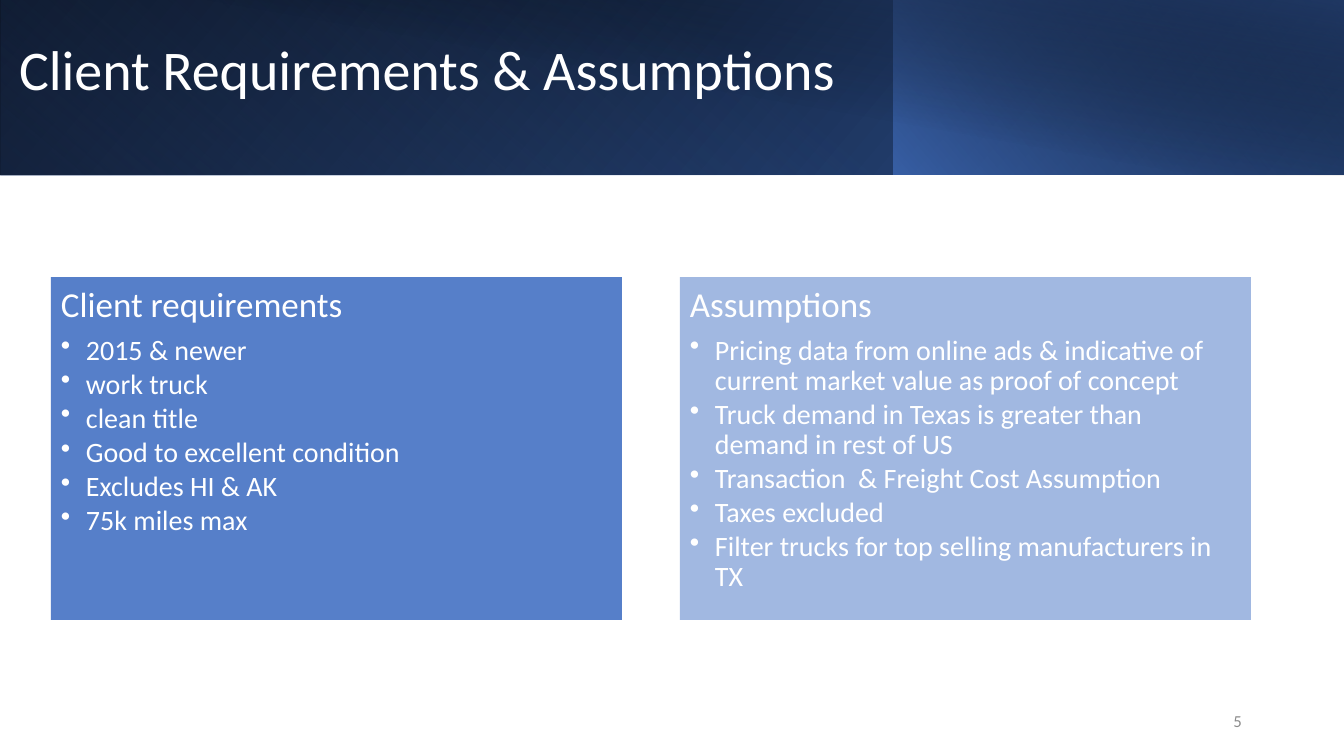
"""Build the client requirements and assumptions slide."""
from dataclasses import dataclass

from lxml import etree
from pptx import Presentation
from pptx.dml.color import RGBColor
from pptx.enum.shapes import MSO_SHAPE
from pptx.enum.text import MSO_ANCHOR, MSO_AUTO_SIZE, PP_ALIGN
from pptx.oxml.ns import qn
from pptx.util import Pt

RECTANGLE = MSO_SHAPE.RECTANGLE
TOP, MIDDLE = MSO_ANCHOR.TOP, MSO_ANCHOR.MIDDLE
LEFT, RIGHT = PP_ALIGN.LEFT, PP_ALIGN.RIGHT
NO_AUTOFIT = MSO_AUTO_SIZE.NONE
EMU_PER_PX = 914400 / 100.8


@dataclass(frozen=True)
class Theme:
    """Colours and type sizes of the slide."""
    font: str = "Calibri"
    white: str = "FFFFFF"
    black: str = "000000"
    blue: str = "4472C4"
    deep_blue: str = "2F5597"
    navy: str = "203864"
    grey: str = "8C8C8C"
    title_size: int = 40
    heading_size: int = 25
    bullet_size: int = 20
    number_size: int = 12


THEME = Theme()

BANDS = [
    ((0, 0, 1344, 175), True, 0, 140,
     [(0, THEME.black, 100), (100, THEME.deep_blue, 100)]),
    ((0, 0, 895, 175), True, 180, 230,
     [(20, THEME.blue, 0), (100, THEME.navy, 55)]),
    ((894, 0, 450, 175), True, 0, 220,
     [(0, THEME.blue, 66), (100, THEME.black, 30)]),
    ((50, 0, 1294, 176), False, 0, 280,
     [(50, THEME.black, 0), (99, THEME.navy, 52)]),
]

CARDS = [
    ("Client requirements", 90, [
        "2015 & newer",
        "work truck",
        "clean title",
        "Good to excellent condition",
        "Excludes HI & AK",
        "75k miles max",
    ]),
    ("Assumptions", 50, [
        "Pricing data from online ads & indicative of current market value "
        "as proof of concept",
        "Truck demand in Texas is greater than demand in rest of US",
        "Transaction  & Freight Cost Assumption",
        "Taxes excluded",
        "Filter trucks for top selling manufacturers in TX",
    ]),
]
CARD_LEFT, CARD_TOP, CARD_WIDTH, CARD_HEIGHT, CARD_PITCH = 51, 277, 571, 343, 629


def px(length):
    """Convert pixels to EMU."""
    return round(length * EMU_PER_PX)


def set_alpha(color_element, percent):
    """Give a colour element its opacity."""
    etree.SubElement(color_element, qn("a:alpha"), val=str(percent * 1000))


def add_rectangle(slide, box):
    """Add a rectangle without outline or shadow."""
    shape = slide.shapes.add_shape(RECTANGLE, *map(px, box))
    shape.shadow.inherit = False
    shape.line.fill.background()
    return shape


def add_band(slide, box, flipped, rotation, angle, stops):
    """Add one gradient layer of the header."""
    shape = add_rectangle(slide, box)
    shape.rotation = rotation
    if flipped:
        shape.element.spPr.find(qn("a:xfrm")).set("flipH", "1")
    shape.fill.gradient()
    shape.fill.gradient_angle = 360 - angle
    stop_list = shape.element.spPr.find(".//" + qn("a:gsLst"))
    for old_stop in list(stop_list):
        stop_list.remove(old_stop)
    for position, color, opacity in stops:
        stop = etree.SubElement(stop_list, qn("a:gs"), pos=str(position * 1000))
        set_alpha(etree.SubElement(stop, qn("a:srgbClr"), val=color), opacity)


def write(paragraph, text, size, color, alignment=LEFT):
    """Write one formatted run into a paragraph."""
    paragraph.alignment = alignment
    run = paragraph.add_run()
    run.text = text
    run.font.name = THEME.font
    run.font.size = Pt(size)
    run.font.color.rgb = RGBColor.from_string(color)


def prepare_frame(shape, anchor):
    """Set wrapping, margins and anchor of a shape's text."""
    frame = shape.text_frame
    frame.word_wrap = True
    frame.auto_size = NO_AUTOFIT
    frame.vertical_anchor = anchor
    frame.margin_left = frame.margin_right = px(10)
    return frame


def set_title(slide, text):
    """Place the title above the header layers."""
    title = slide.shapes.title
    slide.shapes.element.append(title.element)
    title.left, title.top, title.width, title.height = map(px, (9, 15, 1091, 114))
    paragraph = prepare_frame(title, MIDDLE).paragraphs[0]
    paragraph.line_spacing = 0.9
    write(paragraph, text, THEME.title_size, THEME.white)


def add_bullet(frame, text):
    """Add a bulleted paragraph."""
    paragraph = frame.add_paragraph()
    paragraph.level = 1
    properties = paragraph._p.get_or_add_pPr()
    properties.set("marL", str(px(25)))
    properties.set("indent", str(-px(25)))
    bullet_color = etree.SubElement(properties, qn("a:buClr"))
    etree.SubElement(bullet_color, qn("a:srgbClr"), val=THEME.white)
    etree.SubElement(properties, qn("a:buChar"), char="•")
    paragraph.line_spacing = 0.9
    paragraph.space_after = Pt(2.7)
    write(paragraph, text, THEME.bullet_size, THEME.white)


def add_card(slide, left, heading, opacity, bullets):
    """Add a tinted card with a heading and bullets."""
    card = add_rectangle(slide, (left, CARD_TOP, CARD_WIDTH, CARD_HEIGHT))
    card.fill.solid()
    card.fill.fore_color.rgb = RGBColor.from_string(THEME.blue)
    fill = card.element.spPr.find(qn("a:solidFill"))
    set_alpha(fill.find(qn("a:srgbClr")), opacity)
    frame = prepare_frame(card, TOP)
    frame.margin_top = frame.margin_bottom = px(10)
    paragraph = frame.paragraphs[0]
    paragraph.line_spacing = 0.9
    paragraph.space_after = Pt(7.9)
    write(paragraph, heading, THEME.heading_size, THEME.white)
    for bullet in bullets:
        add_bullet(frame, bullet)


def add_slide_number(slide, number):
    """Add the slide number at the lower right."""
    box = slide.shapes.add_textbox(*map(px, (950, 701, 302, 40)))
    paragraph = prepare_frame(box, MIDDLE).paragraphs[0]
    write(paragraph, number, THEME.number_size, THEME.grey, RIGHT)


def main():
    """Build and save the presentation."""
    presentation = Presentation()
    presentation.slide_width, presentation.slide_height = px(1344), px(756)
    slide = presentation.slides.add_slide(presentation.slide_layouts[5])
    for band in BANDS:
        add_band(slide, *band)
    set_title(slide, "Client Requirements & Assumptions")
    for index, card in enumerate(CARDS):
        add_card(slide, CARD_LEFT + index * CARD_PITCH, *card)
    add_slide_number(slide, "5")
    presentation.save("out.pptx")


if __name__ == "__main__":
    main()
